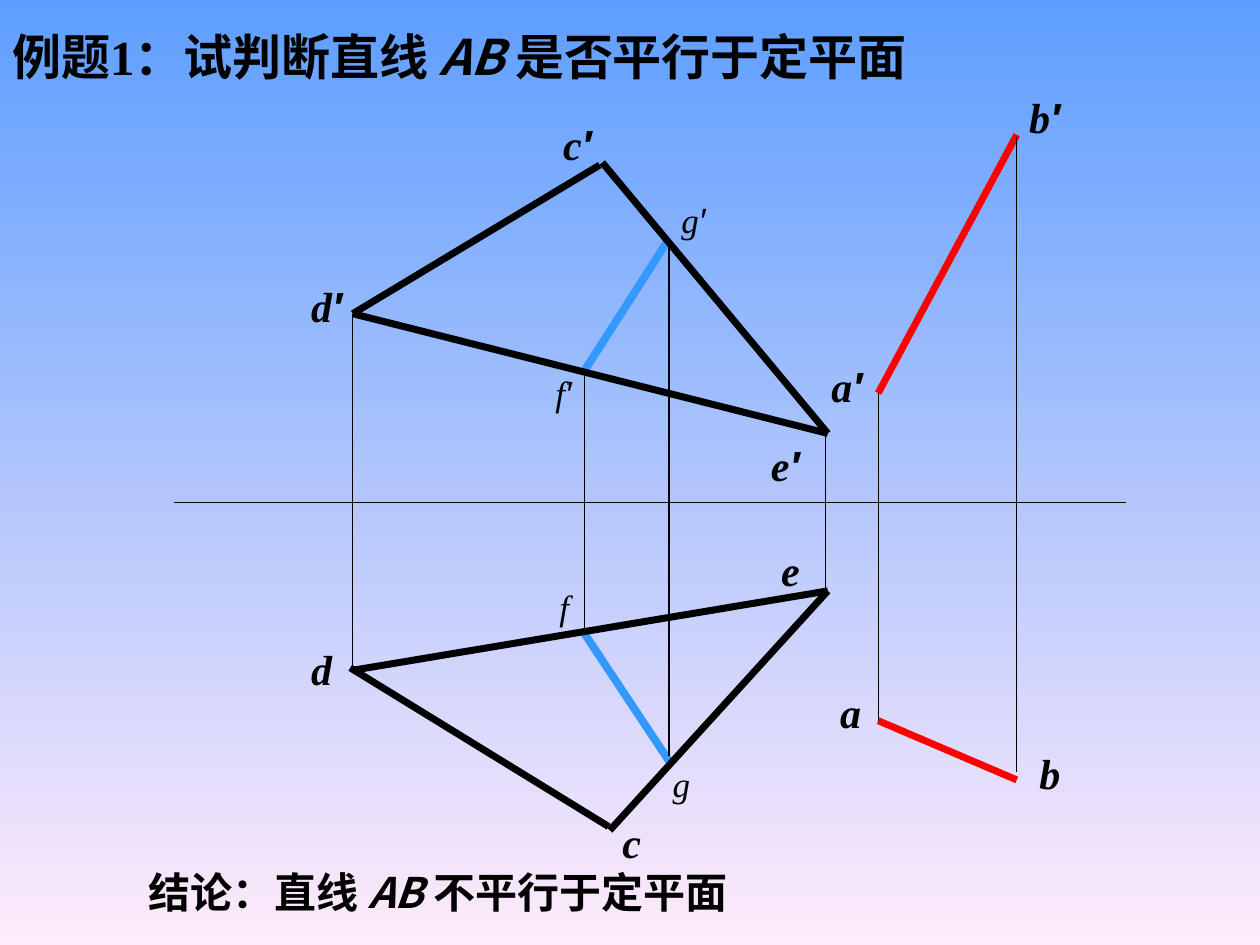
import pptx
import pptx.dml.color
import pptx.enum.shapes
import pptx.oxml.ns
import pptx.oxml.xmlchemy
import pptx.util
from pptx.util import Inches

BLACK, RED, BLUE = "000000", "FF0000", "3399FF"
SANS, SERIF, PRIME = "Noto Sans CJK SC", "Times New Roman", "Arial"
THIN, EDGE, BOLD_EDGE = 0.75, 4, 4.5

BLUE_LINES = [
    ((4.64, 5.03), (5.31, 6.04)),  # fg
    ((5.3, 1.91), (4.64, 2.94)),   # g′f′
]
TRIANGLE_EDGES = [
    ((4.76, 1.31), (2.8, 2.49)),   # c′d′
    ((6.57, 3.44), (4.78, 1.29)),  # e′c′
    ((2.8, 2.49), (6.57, 3.44)),   # d′e′
    ((6.57, 4.69), (2.8, 5.32)),   # ed
    ((6.57, 4.69), (4.84, 6.59)),  # ec
    ((4.83, 6.56), (2.78, 5.3)),   # cd
]
RED_LINES = [
    ((6.97, 3.12), (8.07, 1.07)),  # a′b′
    ((8.07, 6.19), (6.97, 5.72)),  # ba
]
# x, top, bottom of each vertical projection line
PROJECTIONS = [
    (4.64, 2.94, 5.03), (5.31, 1.9, 6), (2.8, 2.49, 5.32),
    (6.55, 3.41, 4.67), (6.97, 3.12, 5.72), (8.07, 1.09, 6.13),
]
AXIS = ((1.38, 3.99), (8.94, 3.99))

MAIN_LABELS = [
    ("e′", 6.02, 3.44), ("d′", 2.37, 2.18), ("c", 4.84, 6.43),
    ("d", 2.37, 5.06), ("c′", 4.37, 0.89), ("a′", 6.5, 2.81),
    ("e", 6.1, 4.27), ("b′", 8.07, 0.68), ("a", 6.57, 5.4),
    ("b", 8.15, 5.88),
]
HELPER_LABELS = [
    ("f", 4.34, 4.6), ("g′", 5.31, 1.53), ("f′", 4.31, 2.9), ("g", 5.24, 6),
]


def rgb(color):
    return pptx.dml.color.RGBColor.from_string(color)


def set_background(s):
    fill = s.background.fill
    fill.gradient()
    fill.gradient_angle = 270
    for stop, position, color in zip(
        fill.gradient_stops, (0, 1), ("5E9EFF", "FFEBFA")
    ):
        stop.position = position
        stop.color.rgb = rgb(color)


def add_line(s, start, end, color, width):
    line = s.shapes.add_connector(
        pptx.enum.shapes.MSO_CONNECTOR.STRAIGHT,
        *(Inches(v) for v in (*start, *end)))
    line.line.color.rgb = rgb(color)
    line.line.width = pptx.util.Pt(width)
    line._element.spPr.append(pptx.oxml.xmlchemy.OxmlElement("a:effectLst"))


def set_typeface(r, name):
    """Use one font for both Latin and East Asian characters."""
    r.font.name = name
    ea = pptx.oxml.xmlchemy.OxmlElement("a:ea")
    ea.set("typeface", name)
    r.font._element.find(pptx.oxml.ns.qn("a:latin")).addnext(ea)


def add_text(s, box, runs, size, bold=True, italic=None):
    """Add a one-line text box; each run is (text, typeface, italic)."""
    tf = s.shapes.add_textbox(*(Inches(v) for v in box)).text_frame
    tf.word_wrap = True
    p = tf.paragraphs[0]
    p.font.size = pptx.util.Pt(size)
    p.font.bold = bold
    p.font.italic = italic
    p.font.color.rgb = rgb(BLACK)
    for text, name, slanted in runs:
        r = p.add_run()
        r.text = text
        if slanted:
            r.font.italic = True
        set_typeface(r, name)


def add_point_label(s, text, left, top, box_size, size, bold):
    runs = [(ch, PRIME if ch == "′" else SERIF, False) for ch in text]
    add_text(s, (left, top, *box_size), runs, size, bold, italic=True)


def main():
    prs = pptx.Presentation()
    prs.slide_width, prs.slide_height = Inches(10), Inches(7.5)
    s = prs.slides.add_slide(prs.slide_layouts[6])
    set_background(s)

    add_text(s, (0, 0.16, 10, 0.75), [
        ("例题", SANS, False), ("1", SERIF, False),
        ("：试判断直线 ", SANS, False), ("AB ", SANS, True),
        ("是否平行于定平面", SANS, False)], 28)

    for lines, color, width in (
        (BLUE_LINES, BLUE, BOLD_EDGE),
        (TRIANGLE_EDGES, BLACK, EDGE),
        (RED_LINES, RED, EDGE),
    ):
        for start, end in lines:
            add_line(s, start, end, color, width)
    for x, top, bottom in PROJECTIONS:
        add_line(s, (x, top), (x, bottom), BLACK, THIN)
    add_line(s, *AXIS, BLACK, THIN)

    for label in MAIN_LABELS:
        add_point_label(s, *label, (0.79, 0.5), 24, True)
    for label in HELPER_LABELS:
        add_point_label(s, *label, (0.52, 0.44), 20, False)

    add_text(s, (1.08, 6.83, 6.15, 0.5), [
        ("结论：直线 ", SANS, False), ("AB ", SANS, True),
        ("不平行于定平面", SANS, False)], 24)
    prs.save("out.pptx")


if __name__ == "__main__":
    main()
